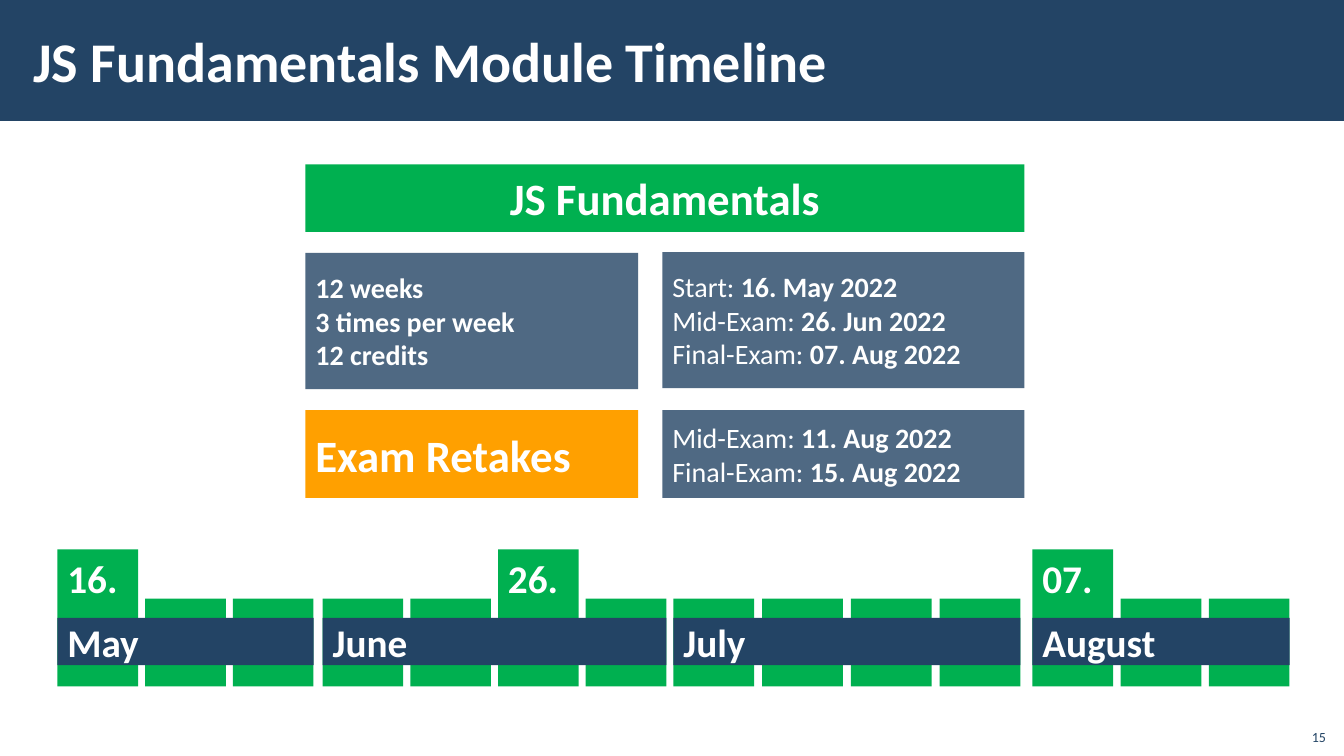
from pptx import Presentation
from pptx.dml.color import RGBColor
from pptx.enum.shapes import MSO_SHAPE as Shape
from pptx.enum.text import MSO_ANCHOR as Anchor, MSO_AUTO_SIZE as AutoSize, PP_ALIGN as Align
from pptx.oxml.ns import qn
from pptx.util import Pt
from lxml import etree

EMU_PER_PX = 9144
NAVY, GREEN, ORANGE, WHITE = "234465", "00B050", "FFA000", "FFFFFF"
WEEK_WIDTH = 80

COURSE_FACTS = [[("12 weeks", True)], [("3 times per week", True)], [("12 credits", True)]]
COURSE_DATES = [
    [("Start: ", False), ("16. May 2022", True)],
    [("Mid-Exam: ", False), ("26. Jun 2022", True)],
    [("Final-Exam: ", False), ("07. Aug 2022", True)],
]
RETAKE_DATES = [
    [("Mid-Exam: ", False), ("11. Aug 2022", True)],
    [("Final-Exam: ", False), ("15. Aug 2022", True)],
]
MONTHS = [
    ("May", 0, 254, 3, {0: "16."}),
    ("June", 263, 341, 4, {2: "26."}),
    ("July", 611, 344, 4, {}),
    ("August", 967, 255, 3, {0: "07."}),
]


def px(length):
    """Turn pixels into EMU."""
    return round(length * EMU_PER_PX)


def colour(hex_code):
    """Turn a hex string into a colour."""
    return RGBColor.from_string(hex_code)


def write(shape, lines, size, ink=WHITE, align=Align.LEFT, anchor=Anchor.MIDDLE, inset=(10, 5)):
    """Fill a shape with lines made of (text, bold) pieces."""
    frame = shape.text_frame
    across, down = map(px, inset)
    frame_format = {
        "word_wrap": True, "auto_size": AutoSize.NONE, "vertical_anchor": anchor,
        "margin_left": across, "margin_right": across,
        "margin_top": down, "margin_bottom": down,
    }
    for name, value in frame_format.items():
        setattr(frame, name, value)
    for index, pieces in enumerate(lines):
        line = frame.add_paragraph() if index else frame.paragraphs[0]
        line.alignment = align
        for text, bold in pieces:
            run = line.add_run()
            run.text = text
            for name, value in {"name": "Calibri", "size": Pt(size), "bold": bold}.items():
                setattr(run.font, name, value)
            run.font.color.rgb = colour(ink)


def add_block(slide, box, fill, opacity=100):
    """Add a plain rectangle without line or shadow."""
    block = slide.shapes.add_shape(Shape.RECTANGLE, *map(px, box))
    block.shadow.inherit = False
    block.line.fill.background()
    block.fill.solid()
    block.fill.fore_color.rgb = colour(fill)
    if opacity < 100:
        tint = block.element.spPr.find(qn("a:solidFill"))[0]
        etree.SubElement(tint, qn("a:alpha"), val=str(opacity * 1000))
    return block


def add_header(slide, left, top, width, height):
    """Place the title on its band."""
    band = add_block(slide, (left, top, width, height), NAVY)
    title = slide.shapes.title
    title.element.addprevious(band.element)
    title_place = {"left": left + 21, "top": top + 11, "width": 1063, "height": 97}
    for name, value in title_place.items():
        setattr(title, name, px(value))
    write(title, [[("JS Fundamentals Module Timeline", True)]], 40, inset=(12, 4))


def add_course(slide, left, top):
    """Place the course heading, facts, dates and exam retakes."""
    heading = add_block(slide, (left, top, 713, 67), GREEN)
    write(heading, [[("JS Fundamentals", True)]], 32, align=Align.CENTER)
    right = left + 354
    facts = add_block(slide, (left, top + 88, 330, 135), NAVY, 80)
    write(facts, COURSE_FACTS, 20)
    dates = add_block(slide, (right, top + 87, 359, 135), NAVY, 80)
    write(dates, COURSE_DATES, 20)
    retakes = add_block(slide, (left, top + 244, 330, 87), ORANGE)
    write(retakes, [[("Exam Retakes", True)]], 32)
    retake_dates = add_block(slide, (right, top + 244, 359, 87), NAVY, 80)
    write(retake_dates, RETAKE_DATES, 20)


def add_month(slide, left, top, width, name, weeks, marked_days):
    """Place the week columns of a month and its name bar."""
    pitch = (width - WEEK_WIDTH) / (weeks - 1)
    for week in range(weeks):
        rise = 0 if week in marked_days else 49
        column = add_block(
            slide, (left + week * pitch, top + rise, WEEK_WIDTH, 136 - rise), GREEN)
        if week in marked_days:
            write(column, [[(marked_days[week], True)]], 28, anchor=Anchor.TOP)
    bar = add_block(slide, (left, top + 68, width, 47), NAVY)
    write(bar, [[(name, True)]], 28, inset=(10, 0))


def add_timeline(slide, left, top):
    """Place the months side by side."""
    for name, offset, width, weeks, marked_days in MONTHS:
        add_month(slide, left + offset, top, width, name, weeks, marked_days)


def add_page_number(slide, left, top, width, height):
    """Place the page number."""
    number = slide.shapes.add_textbox(*map(px, (left, top, width, height)))
    write(number, [[("15", False)]], 10, NAVY, Align.RIGHT, Anchor.BOTTOM)


def main():
    """Build the timeline slide."""
    deck = Presentation()
    deck.slide_width, deck.slide_height = px(1333), px(750)
    slide = deck.slides.add_slide(deck.slide_layouts[5])
    add_header(slide, 0, 0, 1333, 120)
    add_course(slide, 303, 163)
    add_timeline(slide, 57, 545)
    add_page_number(slide, 1285, 712, 40, 32)
    deck.save("out.pptx")


if __name__ == "__main__":
    main()
